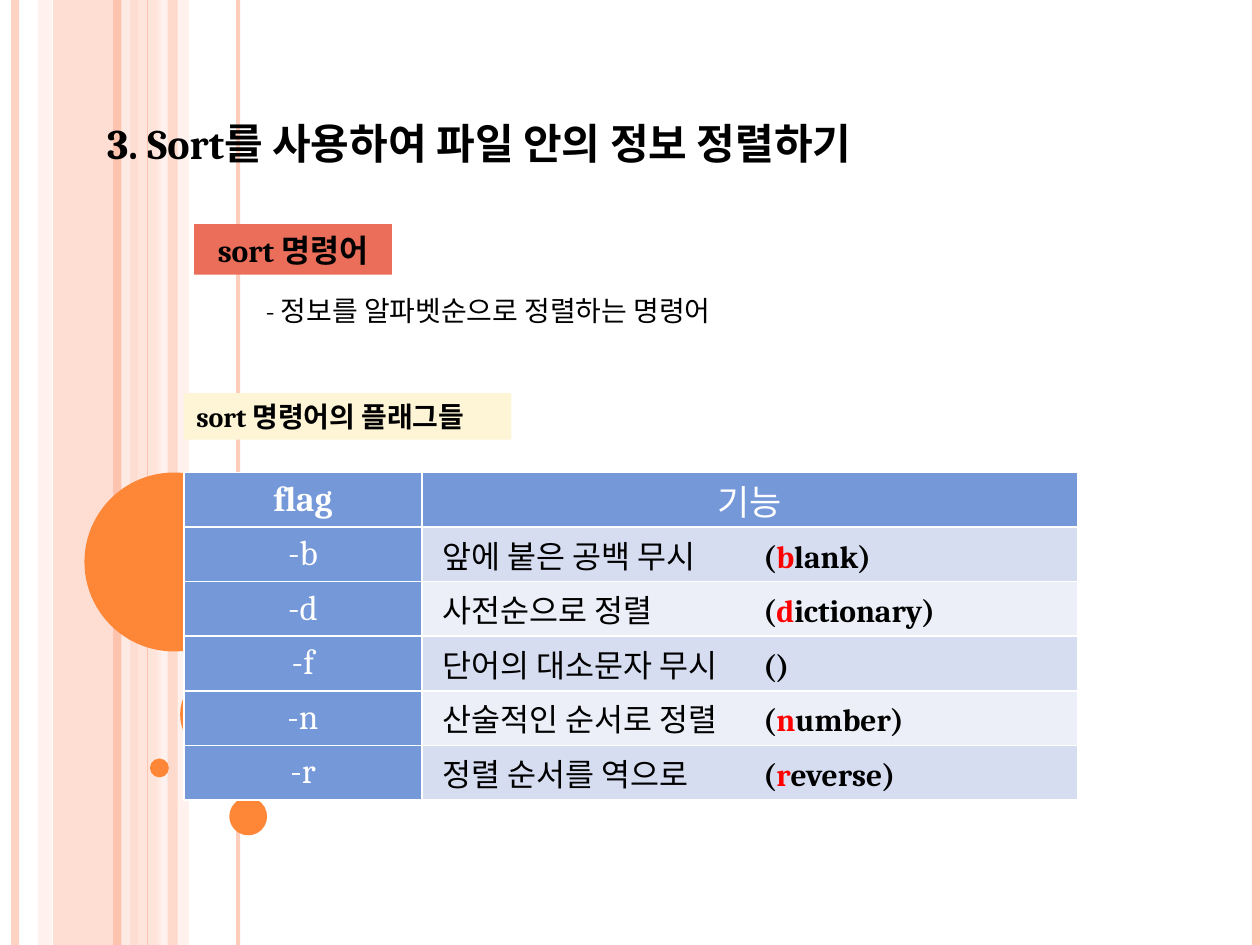
from lxml.etree import SubElement
from pptx import Presentation
from pptx.dml.color import RGBColor
from pptx.enum.shapes import MSO_CONNECTOR, MSO_SHAPE
from pptx.enum.text import MSO_ANCHOR, PP_ALIGN
from pptx.oxml.ns import qn
from pptx.util import Inches, Pt

FONT = "Cambria"
COLORS = {
    "peach": "FEC3AE", "blush": "FFD9CE", "pale": "FFEDE8", "orange": "FE8637",
    "coral": "EB6E5A", "cream": "FDF5D5", "blue": "7598D9", "band": "D6DDF1",
    "light_band": "ECEFF8", "red": "FF0000", "black": "000000", "white": "FFFFFF",
}
BANDS = [  # left, width, color, opacity
    (0.42, 0.67, "peach", 54), (0.3, 0.11, "blush", 36), (1.08, 0.2, "blush", 70),
    (1.25, 0.25, "pale", 71), (1.33, 0.08, "peach", 51),
]
STRIPES = [  # x, line width, color, opacity
    (0.12, 4.5, "peach", 73), (1, 4.5, "pale", 83), (0.93, 4.5, "peach", 100),
    (1.89, 2.25, "peach", 82), (1.17, 0.75, "peach", 100), (9.97, 4.5, "peach", 100),
]
CIRCLES = [  # left, top, diameter
    (0.67, 3.75, 1.42), (1.43, 5.32, 0.7), (1.19, 6.02, 0.15),
    (1.82, 6.33, 0.3), (2.08, 4.92, 0.4),
]
TITLE = "3. Sort를 사용하여 파일 안의 정보 정렬하기"
COMMAND = "sort 명령어"
DESCRIPTION = "- 정보를 알파벳순으로 정렬하는 명령어"
FLAGS_HEADING = "sort 명령어의 플래그들"
HEADER = ("flag", "기능")
FLAGS = [  # flag, meaning, initial, rest of the word
    ("-b", "앞에 붙은 공백 무시", "b", "lank"),
    ("-d", "사전순으로 정렬", "d", "ictionary"),
    ("-f", "단어의 대소문자 무시", "", ""),
    ("-n", "산술적인 순서로 정렬", "n", "umber"),
    ("-r", "정렬 순서를 역으로", "r", "everse"),
]
COLUMN_WIDTHS = (1.89, 5.2)
TABLE_HEIGHT = 2.6
WORD_TAB = 2.55


def rgb(name):
    return RGBColor.from_string(COLORS[name])


def set_opacity(fill, percent):
    color = fill._xPr.find(qn("a:solidFill"))[0]
    SubElement(color, qn("a:alpha")).set("val", str(percent * 1000))


def add_block(slide, kind, box, color, opacity=100):
    block = slide.shapes.add_shape(kind, *map(Inches, box))
    block.shadow.inherit = False
    block.fill.solid()
    block.fill.fore_color.rgb = rgb(color)
    block.line.fill.background()
    set_opacity(block.fill, opacity)
    return block


def add_stripe(slide, x, width, color, opacity):
    stripe = slide.shapes.add_connector(
        MSO_CONNECTOR.STRAIGHT, Inches(x), 0, Inches(x), Inches(7.5))
    stripe.line.width = Pt(width)
    stripe.line.color.rgb = rgb(color)
    set_opacity(stripe.line.fill, opacity)
    SubElement(stripe._element.spPr, qn("a:effectLst"))


def format_run(run, size, color="black", bold=False):
    run.font.name = FONT
    run.font.size = Pt(size)
    run.font.bold = bold
    run.font.color.rgb = rgb(color)


def write(frame, text, size, color="black", bold=False, align=PP_ALIGN.LEFT):
    frame.text = text
    frame.word_wrap = True
    paragraph = frame.paragraphs[0]
    paragraph.alignment = align
    format_run(paragraph.runs[0], size, color, bold)


def prepare_cell(cell, color):
    cell.fill.solid()
    cell.fill.fore_color.rgb = rgb(color)
    cell.vertical_anchor = MSO_ANCHOR.MIDDLE
    cell.margin_top = cell.margin_bottom = 0


def write_meaning(cell, meaning, initial, rest):
    cell.margin_left = Inches(0.16)
    paragraph = cell.text_frame.paragraphs[0]
    tabs = SubElement(paragraph._p.get_or_add_pPr(), qn("a:tabLst"))
    tab = SubElement(tabs, qn("a:tab"))
    tab.set("pos", str(Inches(WORD_TAB)))
    tab.set("algn", "l")
    parts = [(meaning + "\t", "black", False), ("(", "black", True),
             (initial, "red", True), (rest + ")", "black", True)]
    for text, color, bold in parts:
        if text:
            run = paragraph.add_run()
            run.text = text
            format_run(run, 18, color, bold)


def add_flag_table(slide):
    table = slide.shapes.add_table(
        len(FLAGS) + 1, 2, Inches(1.46), Inches(3.75),
        Inches(sum(COLUMN_WIDTHS)), Inches(TABLE_HEIGHT)).table
    for column, width in zip(table.columns, COLUMN_WIDTHS):
        column.width = Inches(width)
    for index, label in enumerate(HEADER):
        cell = table.cell(0, index)
        prepare_cell(cell, "blue")
        write(cell.text_frame, label, 20, "white", index == 0, PP_ALIGN.CENTER)
    for row, (flag, *meaning) in enumerate(FLAGS, 1):
        flag_cell, meaning_cell = table.cell(row, 0), table.cell(row, 1)
        prepare_cell(flag_cell, "blue")
        write(flag_cell.text_frame, flag, 20, "white", align=PP_ALIGN.CENTER)
        prepare_cell(meaning_cell, "band" if row % 2 else "light_band")
        write_meaning(meaning_cell, *meaning)


def main():
    """Build the slide about the sort command and its flags."""
    deck = Presentation()
    deck.slide_width, deck.slide_height = Inches(10), Inches(7.5)
    slide = deck.slides.add_slide(deck.slide_layouts[5])

    for left, width, color, opacity in BANDS:
        add_block(slide, MSO_SHAPE.RECTANGLE, (left, 0, width, 7.5), color, opacity)
    for stripe in STRIPES:
        add_stripe(slide, *stripe)
    for left, top, diameter in CIRCLES:
        add_block(slide, MSO_SHAPE.OVAL, (left, top, diameter, diameter), "orange")

    title = slide.shapes.title
    title.left, title.top, title.width, title.height = map(
        Inches, (0.75, 0.88, 6.93, 0.5))
    title.text_frame.vertical_anchor = MSO_ANCHOR.MIDDLE
    write(title.text_frame, TITLE, 24, bold=True)
    slide.shapes._spTree.append(title._element)

    command = add_block(slide, MSO_SHAPE.RECTANGLE, (1.54, 1.78, 1.57, 0.4), "coral")
    write(command.text_frame, COMMAND, 18, bold=True, align=PP_ALIGN.CENTER)
    description = slide.shapes.add_textbox(*map(Inches, (2.01, 2.28, 5.91, 0.37)))
    write(description.text_frame, DESCRIPTION, 16)
    add_flag_table(slide)
    heading = add_block(slide, MSO_SHAPE.RECTANGLE, (1.46, 3.12, 2.6, 0.37), "cream")
    write(heading.text_frame, FLAGS_HEADING, 16, bold=True)

    deck.save("out.pptx")


if __name__ == "__main__":
    main()
